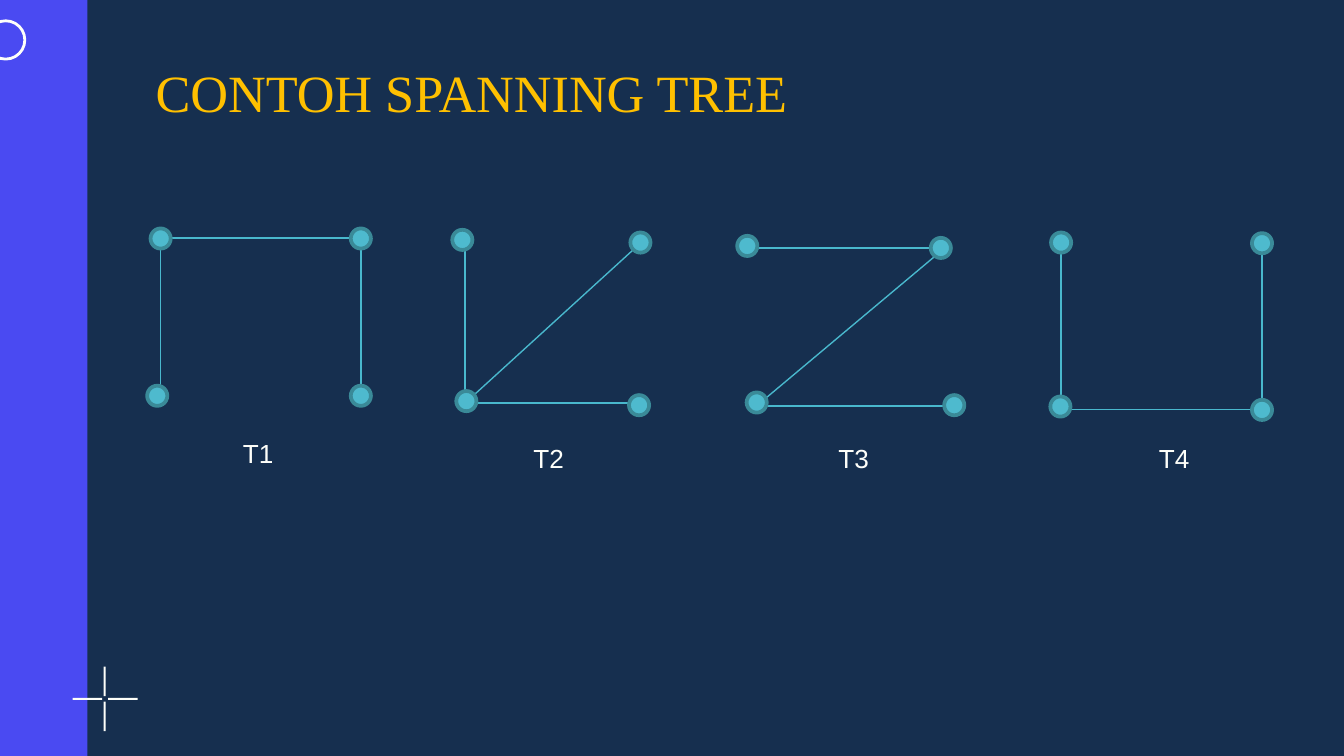
from lxml.etree import SubElement
from pptx import Presentation
from pptx.dml.color import RGBColor
from pptx.enum.shapes import MSO_CONNECTOR, MSO_SHAPE
from pptx.enum.text import MSO_AUTO_SIZE
from pptx.oxml.ns import qn
from pptx.util import Inches, Pt

NAVY = RGBColor(0x16, 0x2F, 0x4F)
BLUE = RGBColor(0x4A, 0x4A, 0xF2)
WHITE = RGBColor(0xFE, 0xFF, 0xFA)
GOLD = RGBColor(0xFF, 0xC0, 0x00)
EDGE = RGBColor(0x49, 0xB8, 0xCD)
NODE = RGBColor(0x4E, 0xBA, 0xCE)
RING = RGBColor(0x3A, 0x8A, 0x98)

COLS, ROWS = 100, 56.25
CELL = Inches(10) // COLS
DOT = 1.5

# Edges as end points, nodes as left-top corners, label as left-top corner.
TREES = {
    "T1": {
        "edges": [(11.95, 17.7, 11.95, 30), (26.85, 17.72, 11.95, 17.72),
                  (26.85, 17.7, 26.85, 30)],
        "nodes": [(11.2, 17), (26.1, 17), (10.95, 28.7), (26.1, 28.7)],
        "label": (17.1, 32.05),
    },
    "T2": {
        "edges": [(34.6, 17.7, 34.6, 30), (48.2, 17.6, 34.6, 30),
                  (47.7, 30, 34.6, 30)],
        "nodes": [(33.65, 17.1), (46.9, 17.3), (33.95, 29.1), (46.8, 29.4)],
        "label": (38.7, 32.4),
    },
    "T3": {
        "edges": [(70.3, 18.45, 55.4, 18.45), (70.3, 18.45, 56.3, 30.2),
                  (71.2, 30.2, 56.3, 30.2)],
        "nodes": [(54.85, 17.55), (69.25, 17.7), (55.55, 29.2), (70.25, 29.4)],
        "label": (61.4, 32.4),
    },
    "T4": {
        "edges": [(78.95, 17.7, 78.95, 30.45), (93.8, 30.45, 78.9, 30.45),
                  (93.9, 17.7, 93.9, 30.45)],
        "nodes": [(78.2, 17.3), (93.15, 17.35), (78.15, 29.5), (93.15, 29.75)],
        "label": (85.25, 32.4),
    },
}


def grid(*cells):
    """Turn grid cells into lengths."""
    return [round(c * CELL) for c in cells]


def shape(slide, kind, box, fill=None, line=None, width=0):
    """Draw a preset shape with an optional fill and line."""
    item = slide.shapes.add_shape(kind, *grid(*box))
    item.shadow.inherit = False
    for part, color in ((item.fill, fill), (item.line.fill, line)):
        if color is None:
            part.background()
        else:
            part.solid()
            part.fore_color.rgb = color
    if line is not None:
        item.line.width = Pt(width)


def edge(slide, ends):
    """Draw one tree edge."""
    item = slide.shapes.add_connector(MSO_CONNECTOR.STRAIGHT, *grid(*ends))
    item.line.color.rgb = EDGE
    item.line.width = Pt(0.75)
    SubElement(item._element.spPr, qn("a:effectLst"))


def text(slide, words, box, look, color, frame):
    """Place one line of text with font and frame formats."""
    body = slide.shapes.add_textbox(*grid(*box)).text_frame
    for name, value in frame.items():
        setattr(body, name, value)
    run = body.paragraphs[0].add_run()
    run.text = words
    for name, value in look.items():
        setattr(run.font, name, value)
    run.font.color.rgb = color


def decor(slide):
    """Draw the side band, the ring and the open cross."""
    shape(slide, MSO_SHAPE.RECTANGLE, (0, 0, 6.5, ROWS), BLUE)
    for box in ((7.72, 49.6, 0.15, 2.2), (7.72, 52.2, 0.15, 2.2),
                (5.4, 51.93, 2.2, 0.15), (8.05, 51.93, 2.2, 0.15)):
        shape(slide, MSO_SHAPE.RECTANGLE, box, WHITE)
    shape(slide, MSO_SHAPE.OVAL, (-1, 1.55, 2.85, 2.85), None, WHITE, 1.5)


def tree(slide, name, parts):
    """Draw one spanning tree with its label."""
    for ends in parts["edges"]:
        edge(slide, ends)
    for spot in parts["nodes"]:
        shape(slide, MSO_SHAPE.OVAL, (*spot, DOT, DOT), NODE, RING, 2)
    text(slide, name, (*parts["label"], 4.3, 3.4),
         {"name": "Arial", "size": Pt(14)}, WHITE,
         {"word_wrap": False, "auto_size": MSO_AUTO_SIZE.SHAPE_TO_FIT_TEXT})


def main():
    """Build and save the slide."""
    deck = Presentation()
    deck.slide_width, deck.slide_height = grid(COLS, ROWS)
    slide = deck.slides.add_slide(deck.slide_layouts[6])
    slide.background.fill.solid()
    slide.background.fill.fore_color.rgb = NAVY
    decor(slide)
    sides = ("left", "right", "top", "bottom")
    pads = {f"margin_{side}": Inches(0.1) for side in sides}
    text(slide, "CONTOH SPANNING TREE", (10.6, 3.5, 52.3, 6.4),
         {"name": "Times New Roman", "size": Pt(28)}, GOLD,
         {"word_wrap": True, **pads})
    for name, parts in TREES.items():
        tree(slide, name, parts)
    deck.save("out.pptx")


main()
